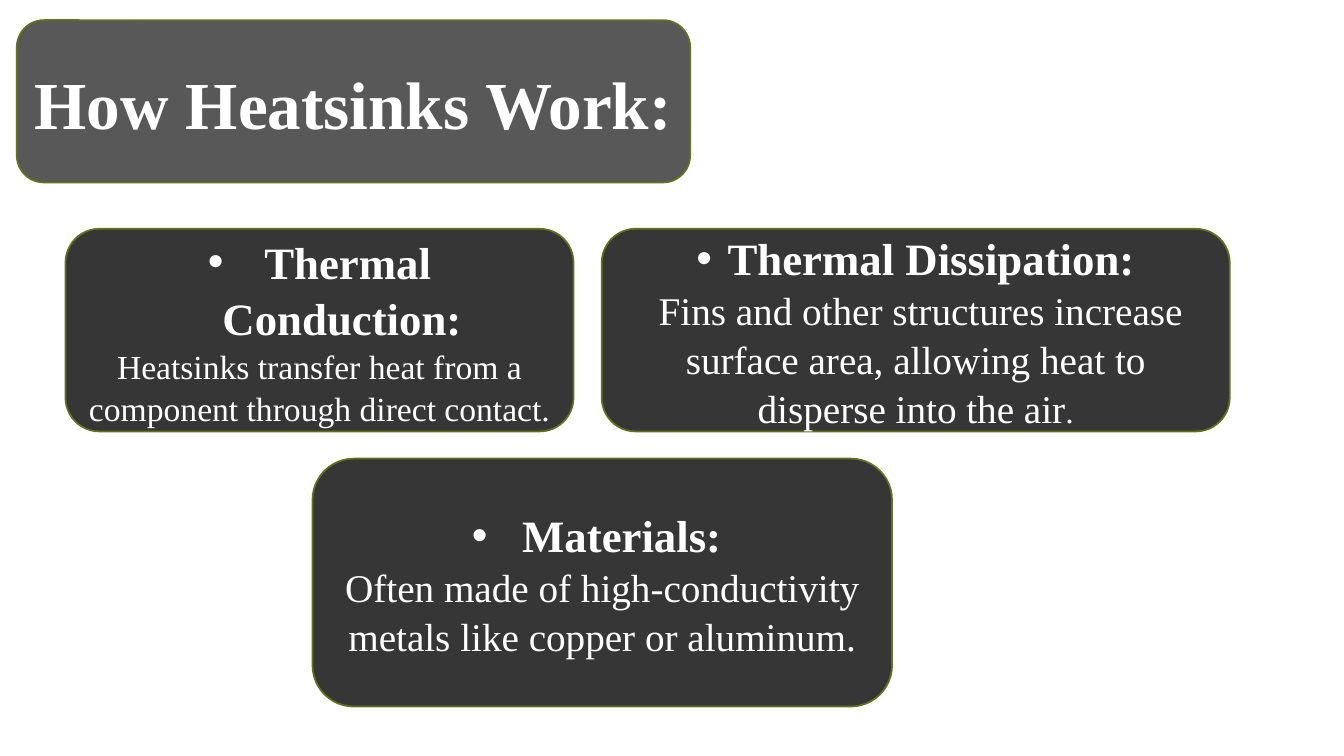
from lxml.etree import SubElement
from pptx import Presentation
from pptx.dml.color import RGBColor
from pptx.enum.shapes import MSO_SHAPE as Shape
from pptx.enum.text import MSO_ANCHOR as Anchor, MSO_AUTO_SIZE as AutoSize, PP_ALIGN as Align
from pptx.oxml.ns import qn
from pptx.util import Inches, Pt

COLUMNS, ROWS = 40, 22.5
TITLE_ONLY = 5


def color(hex_code):
    return RGBColor.from_string(hex_code)


class HeatsinkSlide:
    font = "Times New Roman"
    text_color = "FFFFFF"
    title_fill = "585858"
    card_fill = "363636"
    outline = "61711F"
    line_spacing = 1.04

    def __init__(self, deck):
        self.page = deck.slides.add_slide(deck.slide_layouts[TITLE_ONLY])
        self.column = deck.slide_width / COLUMNS
        self.row = deck.slide_height / ROWS

    def area(self, left, top, width, height):
        """Turn grid columns and rows into slide lengths."""
        return (round(left * self.column), round(top * self.row),
                round(width * self.column), round(height * self.row))

    def panel(self, place, fill):
        box = self.page.shapes.add_shape(Shape.ROUNDED_RECTANGLE, *self.area(*place))
        box.shadow.inherit = False
        box.fill.solid()
        box.fill.fore_color.rgb = color(fill)
        box.line.color.rgb = color(self.outline)
        box.line.width = Pt(1.25)
        return box

    def style(self, para, size, bold=False):
        para.alignment = Align.CENTER
        para.line_spacing = self.line_spacing
        for span in para.runs:
            span.font.name = self.font
            span.font.size = Pt(size)
            span.font.bold = bold
            span.font.color.rgb = color(self.text_color)

    def bullet(self, para, indent):
        properties = para._p.get_or_add_pPr()
        properties.set("marL", str(Inches(indent)))
        properties.set("indent", str(-Inches(indent)))
        SubElement(properties, qn("a:buFont"), typeface="Arial")
        SubElement(properties, qn("a:buChar"), char="•")

    def title(self, text, place):
        panel = self.panel(place, self.title_fill)
        heading = self.page.shapes.title
        # Bring the title in front of its panel
        panel._element.addnext(heading._element)
        heading.left, heading.top, heading.width, heading.height = self.area(*place)
        frame = heading.text_frame
        frame.text = text
        frame.auto_size = AutoSize.NONE
        frame.vertical_anchor = Anchor.MIDDLE
        frame.margin_left = frame.margin_right = 0
        self.style(frame.paragraphs[0], 48, bold=True)

    def card(self, place, heading, body, body_size, indent):
        frame = self.panel(place, self.card_fill).text_frame
        frame.word_wrap = True
        frame.vertical_anchor = Anchor.MIDDLE
        frame.text = heading
        self.style(frame.paragraphs[0], 32, bold=True)
        self.bullet(frame.paragraphs[0], indent)
        para = frame.add_paragraph()
        para.text = body
        self.style(para, body_size)
        return para


def main():
    deck = Presentation()
    deck.slide_width, deck.slide_height = Inches(13.33), Inches(7.5)
    slide = HeatsinkSlide(deck)

    # Title
    slide.title("How Heatsinks Work:", (0.5, 0.6, 20.04, 4.83))

    # Upper cards share one row
    top, height = 6.81, 6.03
    slide.card((1.95, top, 15.12, height), "Thermal Conduction: ",
               "Heatsinks transfer heat from a component through direct contact.",
               24, 0.56)
    dissipation = slide.card(
        (17.91, top, 18.69, height), "Thermal Dissipation:",
        " Fins and other structures increase surface area, "
        "allowing heat to disperse into the air", 28, 0.31)
    # The closing full stop is smaller
    stop = dissipation.add_run()
    stop.text = "."
    slide.style(dissipation, 28)
    stop.font.size = Pt(24)

    # Lower card
    slide.card((9.3, 13.65, 17.25, 7.38), "Materials: ",
               "Often made of high-conductivity metals like copper or aluminum.",
               28, 0.5)

    deck.save("out.pptx")


if __name__ == "__main__":
    main()
